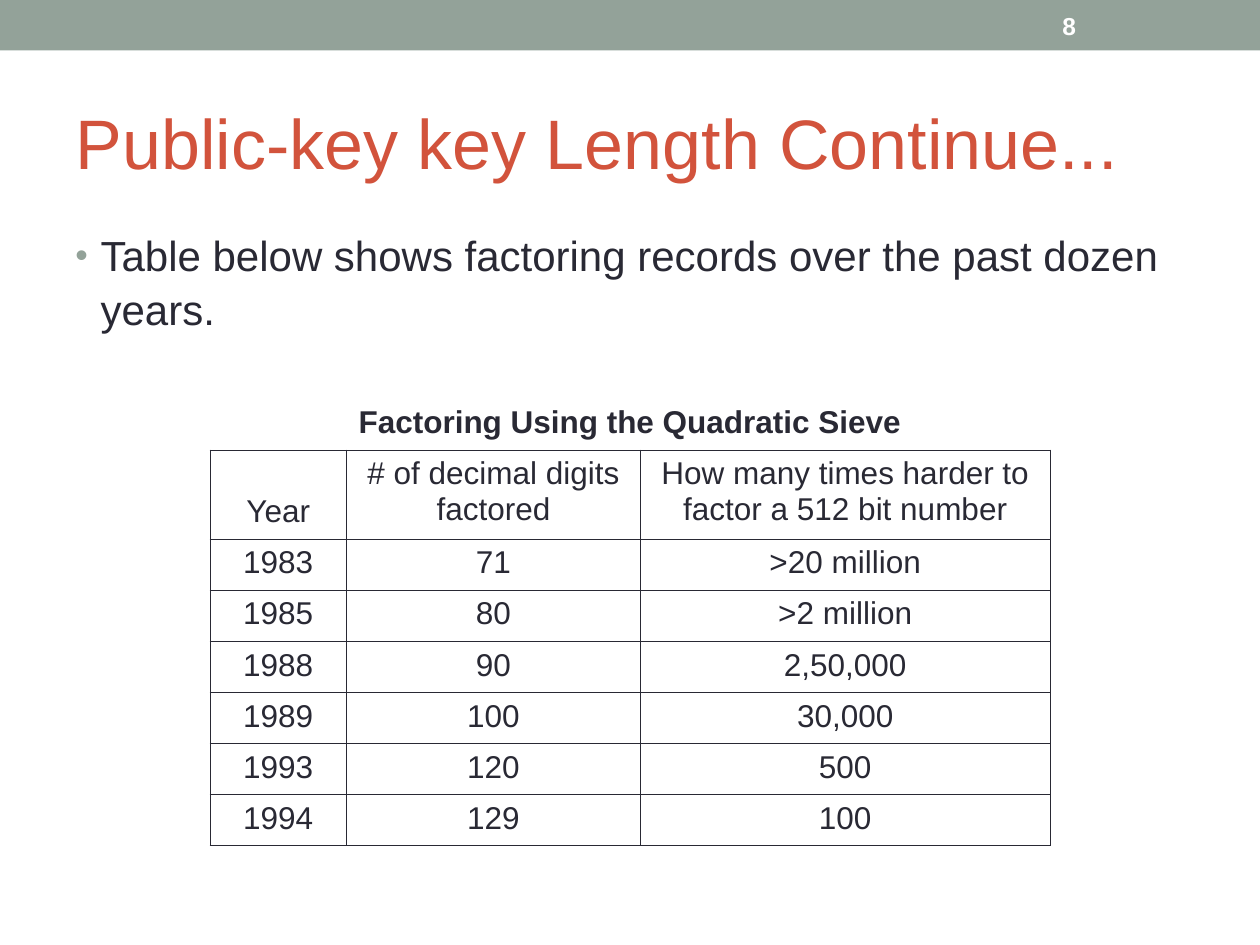
from lxml.etree import SubElement
from pptx import Presentation
from pptx.dml.color import RGBColor
from pptx.enum.shapes import MSO_SHAPE as Shape
from pptx.enum.text import MSO_ANCHOR as Anchor, PP_ALIGN as Align
from pptx.oxml.ns import qn
from pptx.util import Pt

SAGE = RGBColor(0x93, 0xA2, 0x99)
RUST = RGBColor(0xD2, 0x53, 0x3C)
INK = RGBColor(0x29, 0x29, 0x34)
WHITE = RGBColor(0xFF, 0xFF, 0xFF)


def write(frame, text, size, color, bold=False, align=Align.LEFT):
    frame.text = text
    frame.word_wrap = True
    para = frame.paragraphs[0]
    para.alignment = align
    font = para.runs[0].font
    font.name, font.size, font.bold = "Arial", Pt(size), bold
    font.color.rgb = color
    return para


def set_borders(cell, ruled_sides):
    """Rule the given sides of a cell and clear the others."""
    props = cell._tc.get_or_add_tcPr()
    for index, side in enumerate("LRTB"):
        line = props.makeelement(qn(f"a:ln{side}"), {"w": str(Pt(0.45))})
        if side in ruled_sides:
            fill = SubElement(line, qn("a:solidFill"))
            SubElement(fill, qn("a:srgbClr"), val=str(INK))
        else:
            SubElement(line, qn("a:noFill"))
        props.insert(index, line)


deck = Presentation()
deck.slide_width, deck.slide_height = Pt(720), Pt(540)
page = deck.slides.add_slide(deck.slide_layouts[5])

# Top band
band = page.shapes.add_shape(Shape.RECTANGLE, 0, 0, Pt(720), Pt(28.8))
band.shadow.inherit = False
band.fill.solid()
band.fill.fore_color.rgb = SAGE
band.line.fill.background()

# Title
title = page.shapes.title
title.left, title.top, title.width, title.height = Pt(36), Pt(42), Pt(648), Pt(78)
title.text_frame.vertical_anchor = Anchor.MIDDLE
write(title.text_frame, "Public-key key Length Continue...", 40, RUST)

# Bullet
body = page.shapes.add_textbox(Pt(36), Pt(126), Pt(648), Pt(384))
para = write(body.text_frame,
             "Table below shows factoring records over the past dozen years.", 24, INK)
para.space_before = Pt(6)
para.line_spacing = 1.06
para_props = para._p.get_or_add_pPr()
para_props.set("marL", str(Pt(14.4)))
para_props.set("indent", str(-Pt(14.4)))
bullet_color = SubElement(para_props, qn("a:buClr"))
SubElement(bullet_color, qn("a:srgbClr"), val=str(SAGE))
SubElement(para_props, qn("a:buSzPct"), val="85000")
SubElement(para_props, qn("a:buFont"), typeface="Arial")
SubElement(para_props, qn("a:buChar"), char="•")

# Factoring table
CAPTION = "Factoring Using the Quadratic Sieve"
RECORDS = [
    ("Year", "# of decimal digits factored", "How many times harder to factor a 512 bit number"),
    ("1983", "71", ">20 million"),
    ("1985", "80", ">2 million"),
    ("1988", "90", "2,50,000"),
    ("1989", "100", "30,000"),
    ("1993", "120", "500"),
    ("1994", "129", "100"),
]
COLUMN_WIDTHS = (78, 168, 234)
ROW_HEIGHT, HEADER_HEIGHT = 29.2, 50.8

frame = page.shapes.add_table(len(RECORDS) + 1, len(COLUMN_WIDTHS), Pt(120), Pt(228),
                              Pt(sum(COLUMN_WIDTHS)),
                              Pt(HEADER_HEIGHT + ROW_HEIGHT * len(RECORDS)))
table = frame.table
table.first_row = table.horz_banding = False
for column, width in zip(table.columns, COLUMN_WIDTHS):
    column.width = Pt(width)
for row in table.rows:
    row.height = Pt(ROW_HEIGHT)
table.rows[1].height = Pt(HEADER_HEIGHT)

for cell in table.iter_cells():
    cell.fill.background()
for cell in table.rows[0].cells:
    set_borders(cell, "B")
caption = table.cell(0, 0)
caption.merge(table.cell(0, 2))
write(caption.text_frame, CAPTION, 18, INK, bold=True, align=Align.CENTER)

for row_index, record in enumerate(RECORDS, start=1):
    for column_index, value in enumerate(record):
        cell = table.cell(row_index, column_index)
        set_borders(cell, "LRTB")
        write(cell.text_frame, value, 18, INK, align=Align.CENTER)

year_header = table.cell(1, 0)
year_header.vertical_anchor = Anchor.BOTTOM
year_header.margin_bottom = Pt(5.8)

# Slide number
number = page.shapes.add_textbox(Pt(600), Pt(1.5), Pt(84), Pt(26))
number.text_frame.vertical_anchor = Anchor.MIDDLE
write(number.text_frame, "8", 14, WHITE, bold=True)

deck.save("out.pptx")
